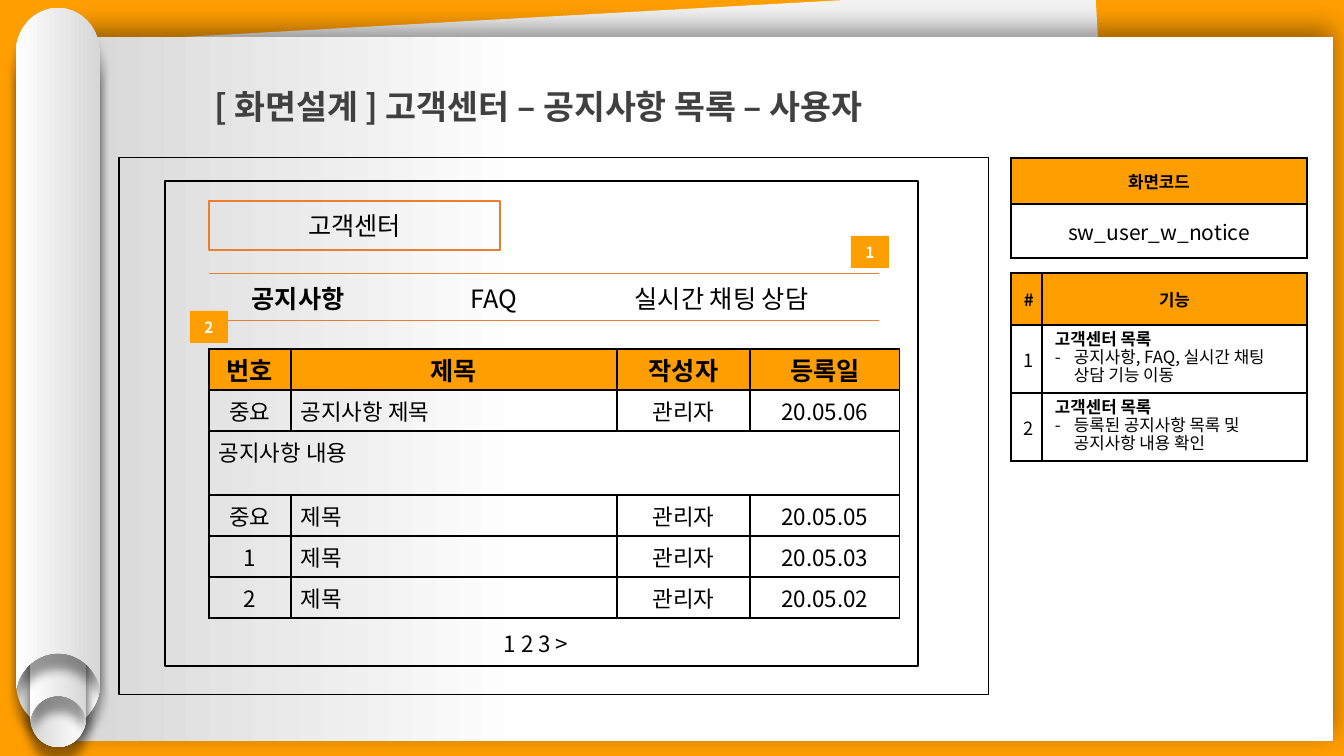
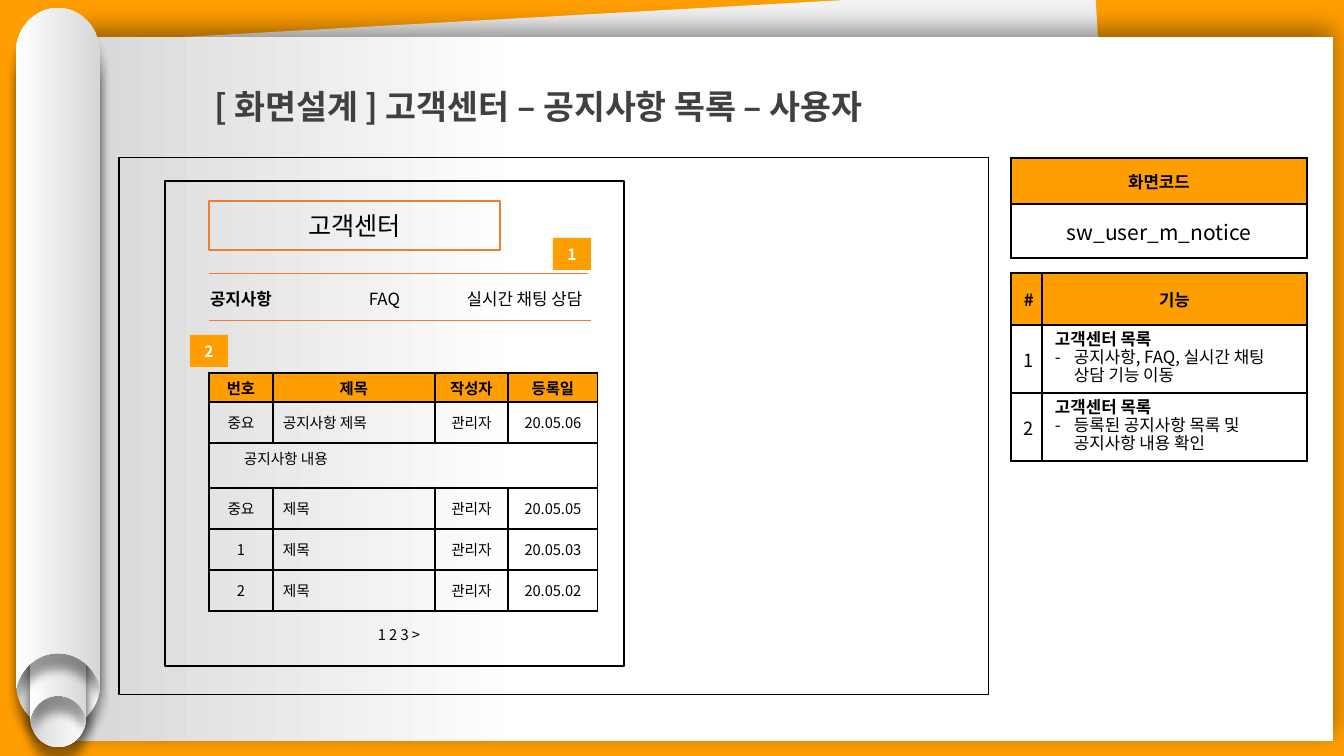
from dataclasses import dataclass
from typing import NamedTuple

from lxml.etree import Element, SubElement
from pptx import Presentation
from pptx.dml.color import RGBColor
from pptx.enum.shapes import MSO_CONNECTOR, MSO_SHAPE
from pptx.enum.text import MSO_ANCHOR, MSO_AUTO_SIZE, PP_ALIGN
from pptx.oxml.ns import qn
from pptx.util import Pt

SLIDE_W, SLIDE_H = 1344, 756
EMU_PER_PX = 12192000 / SLIDE_W
FONT = "Noto Sans CJK KR"

ORANGE = RGBColor(0xFF, 0x9E, 0x00)
RUST = RGBColor(0xED, 0x7D, 0x31)
BLACK = RGBColor(0x00, 0x00, 0x00)
WHITE = RGBColor(0xFF, 0xFF, 0xFF)
CHARCOAL = RGBColor(0x40, 0x40, 0x40)
PALE = RGBColor(0xF2, 0xF2, 0xF2)
SILVER = RGBColor(0xD7, 0xD7, 0xD7)

LEFT, CENTER = PP_ALIGN.LEFT, PP_ALIGN.CENTER
TOP, MIDDLE = MSO_ANCHOR.TOP, MSO_ANCHOR.MIDDLE


def px(length: float) -> int:
    return round(length * EMU_PER_PX)


class Box(NamedTuple):
    x: int
    y: int
    w: int
    h: int

    def emu(self) -> list[int]:
        return [px(length) for length in self]


class Margins(NamedTuple):
    left: int
    top: int
    right: int
    bottom: int


class Style(NamedTuple):
    size: float
    bold: bool = False
    color: RGBColor = BLACK
    align: PP_ALIGN = CENTER


@dataclass(frozen=True)
class Screen:
    code: str
    window_w: int
    tabs: tuple[tuple[int, int], ...]  # left and width of each tab
    tab_size: float
    rule_ends: tuple[int, int]
    badges: tuple[tuple[int, int], ...]
    list_top: int
    list_cols: tuple[int, ...]
    list_rows: tuple[int, ...]
    head_size: float
    body_size: float
    content_indent: int
    pager: Box


TITLE = "[ 화면설계 ] 고객센터 – 공지사항 목록 – 사용자"
TAB_NAMES = ("공지사항", "FAQ", "실시간 채팅 상담")
TAB_RULES_Y = (273, 320)
LIST_HEAD = ("번호", "제목", "작성자", "등록일")
NOTICES = (
    ("중요", "공지사항 제목", "관리자", "20.05.06"),
    ("공지사항 내용", "", "", ""),
    ("중요", "제목", "관리자", "20.05.05"),
    ("1", "제목", "관리자", "20.05.03"),
    ("2", "제목", "관리자", "20.05.02"),
)
CONTENT_ROW = 2
FEATURES = (
    ("고객센터 목록", "공지사항, FAQ, 실시간 채팅 상담 기능 이동"),
    ("고객센터 목록", "등록된 공지사항 목록 및 공지사항 내용 확인"),
)
SIDE_X = 1011
SIDE_MARGINS = Margins(13, 7, 13, 6)
LIST_MARGINS = Margins(10, 2, 10, 2)

SCREENS = (
    Screen("sw_user_w_notice", 753, ((210, 176), (406, 176), (604, 235)), 18,
           (879, 879), ((851, 236), (190, 311)), 349, (82, 326, 133, 150),
           (41, 41, 64, 41, 41, 41), 18, 16, 10, Box(436, 625, 200, 37)),
    Screen("sw_user_m_notice", 459, ((195, 92), (354, 61), (444, 161)), 12,
           (588, 591), ((553, 238), (190, 335)), 373, (64, 162, 73, 90),
           (29, 41, 45, 41, 41, 41), 11, 10.5, 35, Box(299, 625, 200, 19)),
)


# Text

def style_paragraph(paragraph, style: Style) -> None:
    paragraph.alignment = style.align
    font = paragraph.font
    font.size, font.bold, font.name = Pt(style.size), style.bold, FONT
    font.color.rgb = style.color


def write(frame, text: str, style: Style) -> None:
    frame.word_wrap = True
    frame.vertical_anchor = MIDDLE
    frame.text = text
    style_paragraph(frame.paragraphs[0], style)


def add_label(slide, box: Box, text: str, style: Style) -> None:
    write(slide.shapes.add_textbox(*box.emu()).text_frame, text, style)


# Shapes

def add_rect(slide, box: Box, fill: RGBColor | None = None,
             line: RGBColor | None = None, line_width: float = 1):
    rect = slide.shapes.add_shape(MSO_SHAPE.RECTANGLE, *box.emu())
    rect.shadow.inherit = False
    if fill is None:
        rect.fill.background()
    else:
        rect.fill.solid()
        rect.fill.fore_color.rgb = fill
    if line is None:
        rect.line.fill.background()
    else:
        rect.line.color.rgb = line
        rect.line.width = Pt(line_width)
    return rect


def add_rule(slide, x1: int, x2: int, y: int) -> None:
    rule = slide.shapes.add_connector(MSO_CONNECTOR.STRAIGHT, px(x1), px(y), px(x2), px(y))
    rule.line.color.rgb = RUST
    rule.line.width = Pt(0.5)
    SubElement(rule._element.spPr, qn("a:effectLst"))


def shade(shape, stops: tuple[tuple[float, RGBColor], ...]) -> None:
    shape.fill.gradient()
    shape.fill.gradient_angle = 180
    for stop, (position, color) in zip(shape.fill.gradient_stops, stops):
        stop.position = position
        stop.color.rgb = color


def cast_shadow(shape, blur: int, distance: int, degrees: int) -> None:
    shape.shadow.inherit = False
    effects = shape._element.spPr.find(qn("a:effectLst"))
    shadow = SubElement(effects, qn("a:outerShdw"), blurRad=str(Pt(blur)),
                        dist=str(Pt(distance)), dir=str(degrees * 60000), rotWithShape="0")
    black = SubElement(shadow, qn("a:srgbClr"), val=str(BLACK))
    SubElement(black, qn("a:alpha"), val="40000")


# Backdrop: tilted sheet, paper and rolled edge

def bend(segment, controls: list[tuple[float, float]]) -> None:
    """Turn a straight segment of an outline into a cubic curve."""
    curve = Element(qn("a:cubicBezTo"))
    for x, y in controls:
        SubElement(curve, qn("a:pt"), x=str(px(x)), y=str(px(y)))
    segment.addprevious(curve)
    curve.append(segment[0])
    segment.getparent().remove(segment)


def add_roll(slide, box: Box, upside_down: bool) -> None:
    """Tube with a rounded cap and a matching hollow at the other end."""
    w, h, r = box.w, box.h, box.w / 2
    cap, lip, hollow = 1.06 * r, h - 0.16 * r, h - 0.83 * r
    nodes = [(r, 0), (w, cap), (w, h), (1.95 * r, lip), (r, hollow),
             (0.05 * r, lip), (0, h), (0, cap), (r, 0)]
    curves = {  # control points, by the node where the curve ends
        1: [(1.55 * r, 0), (w, 0.45 * cap)],
        4: [(1.79 * r, h - 0.56 * r), (1.43 * r, hollow)],
        5: [(0.57 * r, hollow), (0.21 * r, h - 0.56 * r)],
        8: [(0, 0.45 * cap), (0.45 * r, 0)],
    }
    points = [(px(box.x + x), px(box.y + y)) for x, y in nodes]
    builder = slide.shapes.build_freeform(*points[0])
    builder.add_line_segments(points[1:], close=True)
    roll = builder.convert_to_shape()
    segments = list(roll._element.iter(qn("a:lnTo")))
    for node, controls in curves.items():
        bend(segments[node - 1], controls)
    roll.rotation = 180 if upside_down else 0
    roll.line.fill.background()
    shade(roll, ((0, SILVER), (1, WHITE)))
    cast_shadow(roll, 7, 11, 90)


def add_backdrop(slide) -> None:
    add_rect(slide, Box(92, 14, 1023, 685), PALE).rotation = -3.2
    paper = add_rect(slide, Box(73, 37, 1260, 704), WHITE)
    shade(paper, ((0.64, WHITE), (1, SILVER)))
    cast_shadow(paper, 18, 6, 270)
    add_roll(slide, Box(16, 48, 84, 680), True)
    add_roll(slide, Box(30, 290, 56, 457), True)
    add_roll(slide, Box(30, 263, 56, 456), False)
    add_roll(slide, Box(16, 8, 84, 680), False)


def place_title(slide) -> None:
    title = slide.shapes.title
    title.left, title.top, title.width, title.height = Box(204, 61, 969, 67).emu()
    write(title.text_frame, TITLE, Style(24, True, CHARCOAL, LEFT))
    title.text_frame.vertical_anchor = TOP
    title.text_frame.auto_size = MSO_AUTO_SIZE.NONE
    title.text_frame.paragraphs[0].line_spacing = 1.5
    slide.shapes._spTree.append(title._element)  # bring in front of the paper


# Tables

def add_grid(slide, x: int, y: int, cols: tuple[int, ...], rows: tuple[int, ...],
             margins: Margins):
    box = Box(x, y, sum(cols), sum(rows))
    table = slide.shapes.add_table(len(rows), len(cols), *box.emu()).table
    table.first_row = table.horz_banding = False
    for column, width in zip(table.columns, cols):
        column.width = px(width)
    for index, height in enumerate(rows):
        table.rows[index].height = px(height)
        for cell in table.rows[index].cells:
            (cell.margin_left, cell.margin_top,
             cell.margin_right, cell.margin_bottom) = map(px, margins)
            if index == 0:
                cell.fill.solid()
                cell.fill.fore_color.rgb = ORANGE
            else:
                cell.fill.background()
            add_borders(cell)
    return table


def add_borders(cell) -> None:
    properties = cell._tc.get_or_add_tcPr()
    for order, side in enumerate(("lnL", "lnR", "lnT", "lnB")):
        border = SubElement(properties, qn(f"a:{side}"), w=str(Pt(1)))
        SubElement(SubElement(border, qn("a:solidFill")), qn("a:srgbClr"), val=str(BLACK))
        properties.insert(order, border)


def fill_cell(cell, text: str, style: Style) -> None:
    cell.vertical_anchor = MIDDLE
    cell.text = text
    style_paragraph(cell.text_frame.paragraphs[0], style)


def describe_feature(cell, heading: str, detail: str) -> None:
    cell.text = f"{heading}\n{detail}"
    cell.vertical_anchor = TOP
    first, second = cell.text_frame.paragraphs
    first.line_spacing = second.line_spacing = Pt(13)
    bullet_properties = second._p.get_or_add_pPr()
    bullet_properties.set("marL", str(px(19)))
    bullet_properties.set("indent", str(-px(19)))
    SubElement(bullet_properties, qn("a:buFont"), typeface=FONT)
    SubElement(bullet_properties, qn("a:buChar"), char="-")
    style_paragraph(first, Style(12, True, align=LEFT))
    style_paragraph(second, Style(12, align=LEFT))


def add_side_panel(slide, code: str) -> None:
    heading, number = Style(12, True), Style(13)
    code_grid = add_grid(slide, SIDE_X, 158, (296,), (46, 54), SIDE_MARGINS)
    fill_cell(code_grid.cell(0, 0), "화면코드", heading)
    fill_cell(code_grid.cell(1, 0), code, Style(15))

    features = add_grid(slide, SIDE_X, 273, (31, 265), (52, 68, 68), SIDE_MARGINS)
    for column, name in enumerate(("#", "기능")):
        fill_cell(features.cell(0, column), name, heading)
    for row, feature in enumerate(FEATURES, 1):
        fill_cell(features.cell(row, 0), str(row), number)
        describe_feature(features.cell(row, 1), *feature)


def add_notice_list(slide, screen: Screen) -> None:
    notices = add_grid(slide, 209, screen.list_top, screen.list_cols,
                       screen.list_rows, LIST_MARGINS)
    content = notices.cell(CONTENT_ROW, 0)
    content.merge(notices.cell(CONTENT_ROW, len(LIST_HEAD) - 1))
    for row, values in enumerate((LIST_HEAD, *NOTICES)):
        for column, value in enumerate(values):
            cell = notices.cell(row, column)
            if cell.is_spanned:
                continue
            if row == 0:
                style = Style(screen.head_size, True)
            else:
                is_left = column == 1 or row == CONTENT_ROW
                style = Style(screen.body_size, align=LEFT if is_left else CENTER)
            fill_cell(cell, value, style)
    content.vertical_anchor = TOP
    content.margin_left, content.margin_top = px(screen.content_indent), px(5)


# Wireframe

def add_wireframe(slide, screen: Screen) -> None:
    add_rect(slide, Box(119, 158, 870, 537), line=BLACK, line_width=0.75)
    add_rect(slide, Box(165, 181, screen.window_w, 485), line=BLACK)
    heading = add_rect(slide, Box(209, 201, 291, 49), line=RUST)
    write(heading.text_frame, "고객센터", Style(18))
    for index, (name, (x, width)) in enumerate(zip(TAB_NAMES, screen.tabs)):
        add_label(slide, Box(x, 270, width, 57), name, Style(screen.tab_size, index == 0))
    add_notice_list(slide, screen)
    for end, y in zip(screen.rule_ends, TAB_RULES_Y):
        add_rule(slide, 209, end, y)
    for number, (x, y) in enumerate(screen.badges, 1):
        badge = add_rect(slide, Box(x, y, 38, 32), ORANGE)
        write(badge.text_frame, str(number), Style(11, True, WHITE))
    add_label(slide, screen.pager, "1 2 3 >", Style(screen.body_size))


def main() -> None:
    deck = Presentation()
    deck.slide_width, deck.slide_height = px(SLIDE_W), px(SLIDE_H)
    background = deck.slide_master.background.fill
    background.solid()
    background.fore_color.rgb = ORANGE
    title_only = deck.slide_layouts[5]
    for screen in SCREENS:
        slide = deck.slides.add_slide(title_only)
        add_backdrop(slide)
        place_title(slide)
        add_wireframe(slide, screen)
        add_side_panel(slide, screen.code)
    deck.save("out.pptx")


if __name__ == "__main__":
    main()
